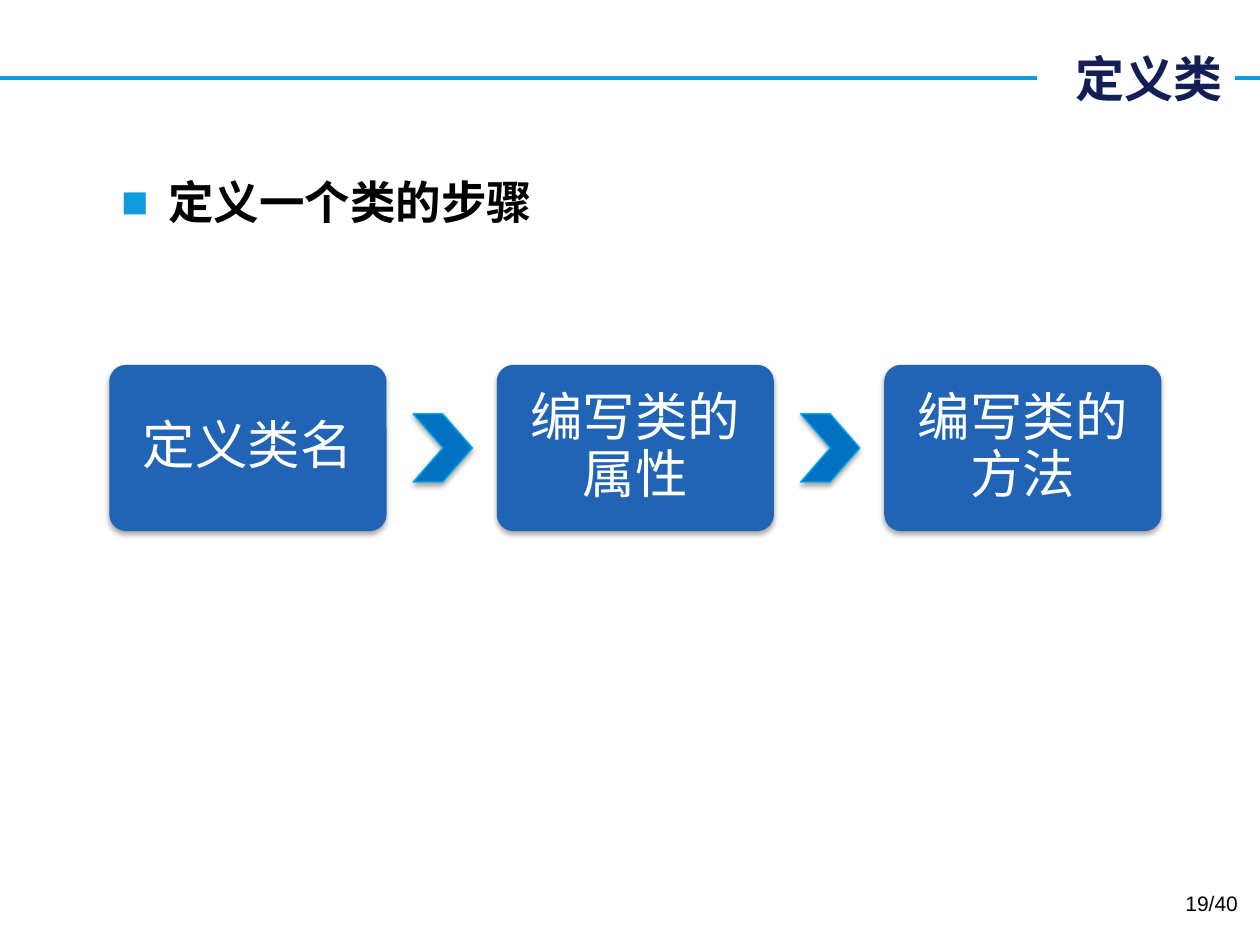
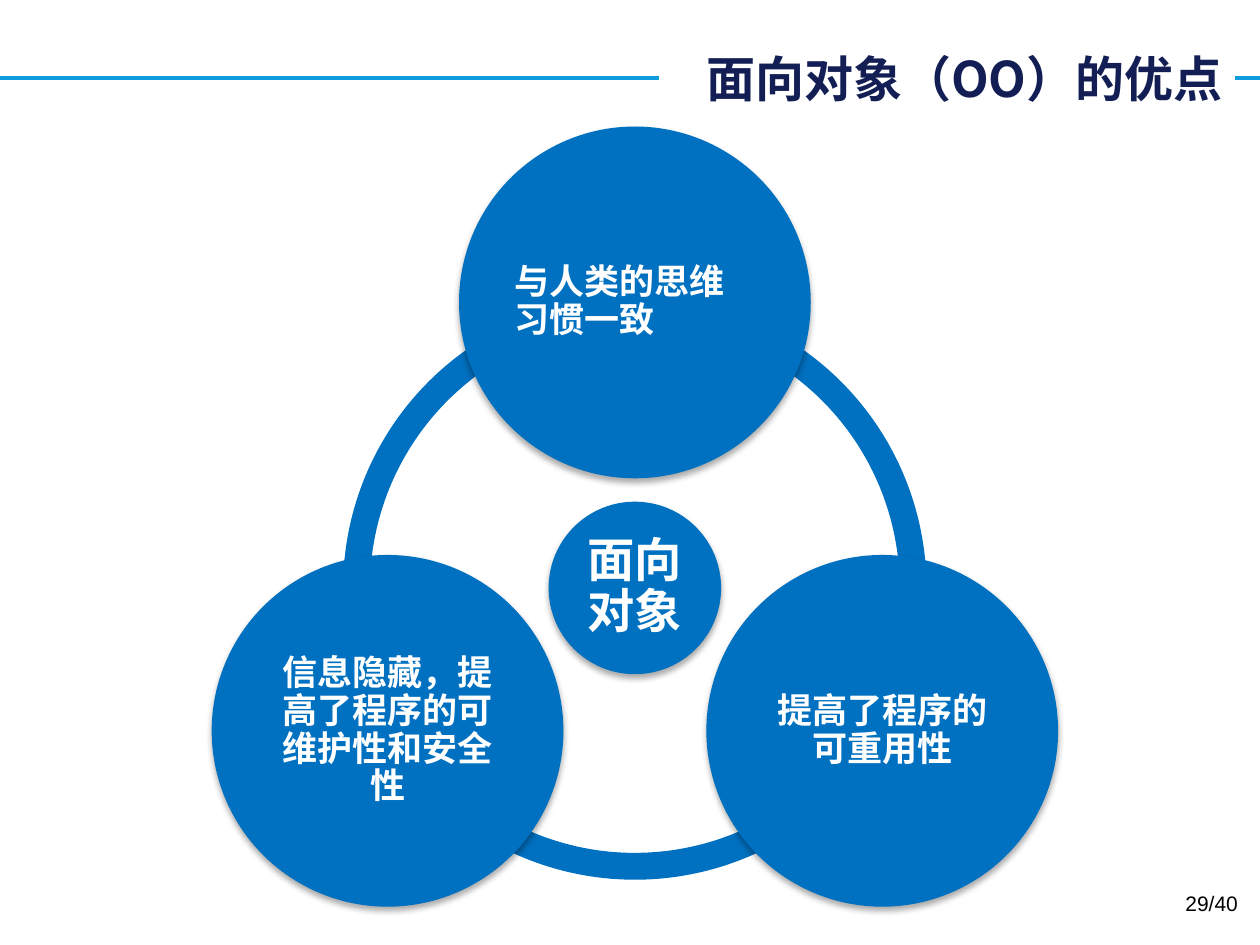
from math import cos, radians, sin

from lxml import etree
from pptx import Presentation
from pptx.dml.color import RGBColor
from pptx.enum.shapes import MSO_CONNECTOR, MSO_SHAPE
from pptx.enum.text import MSO_ANCHOR, MSO_AUTO_SIZE, PP_ALIGN
from pptx.oxml.ns import qn
from pptx.util import Pt

STRAIGHT = MSO_CONNECTOR.STRAIGHT
ROUNDED, CHEVRON = MSO_SHAPE.ROUNDED_RECTANGLE, MSO_SHAPE.CHEVRON
OVAL, BLOCK_ARC = MSO_SHAPE.OVAL, MSO_SHAPE.BLOCK_ARC
MIDDLE, NO_AUTOFIT = MSO_ANCHOR.MIDDLE, MSO_AUTO_SIZE.NONE
LEFT, CENTER, RIGHT = PP_ALIGN.LEFT, PP_ALIGN.CENTER, PP_ALIGN.RIGHT

COLORS = {
    "rule": "0E9CDE",
    "title": "121E54",
    "text": "000000",
    "white": "FFFFFF",
    "step": "2163B4",
    "blue": "0070C0",
    "edge": "00B0F0",
}
BODY_FONT, TITLE_FONT = "Arial", "Noto Sans CJK SC"
SLIDE_WIDTH, SLIDE_HEIGHT = 720, 540
RULE_Y = 44.6
TITLE_RIGHT, TITLE_HEIGHT = 705.6, 41
TITLE_CONTENT, TITLE_ONLY = 1, 5

# Shadows: opacity in percent, blur and distance in points
STEP_SHADOW = (35, 3.1, 1.8)
CIRCLE_SHADOW = (32, 3.5, 2.2)


def color(name):
    return RGBColor.from_string(COLORS[name])


def add_child(parent, tag, **attributes):
    values = {key: str(value) for key, value in attributes.items()}
    return etree.SubElement(parent, qn(tag), values)


def write(shape, text, size=20, fill="white", font=BODY_FONT, bold=False,
          align=CENTER, anchor=None, inset=None, spacing=None):
    """Put one formatted paragraph into a shape and return the paragraph."""
    frame = shape.text_frame
    frame.word_wrap = True
    frame.auto_size = NO_AUTOFIT
    if anchor is not None:
        frame.vertical_anchor = anchor
    if inset is not None:
        frame.margin_left = frame.margin_right = Pt(inset)
        frame.margin_top = frame.margin_bottom = Pt(inset)
    para = frame.paragraphs[0]
    para.alignment = align
    para.space_before = Pt(0)
    if spacing is not None:
        para.line_spacing = spacing
    span = para.add_run()
    span.text = text
    span.font.size = Pt(size)
    span.font.bold = bold
    span.font.name = font
    span.font.color.rgb = color(fill)
    add_child(span.font._element, "a:ea", typeface=font)
    return para


def place(shape, left, top, width, height):
    shape.left, shape.top = Pt(left), Pt(top)
    shape.width, shape.height = Pt(width), Pt(height)


def add_figure(page, kind, left, top, width, height, fill,
               edge=None, shadow=None, adjustments=()):
    """Draw a filled preset shape with optional outline and soft shadow."""
    figure = page.shapes.add_shape(kind, Pt(left), Pt(top), Pt(width), Pt(height))
    figure.fill.solid()
    figure.fill.fore_color.rgb = color(fill)
    if edge:
        figure.line.color.rgb = color(edge)
        figure.line.width = Pt(0.75)
    else:
        figure.line.fill.background()
    for index, value in enumerate(adjustments):
        figure.adjustments[index] = value
    figure.shadow.inherit = False
    if shadow:
        opacity, blur, distance = shadow
        effects = figure.element.spPr.find(qn("a:effectLst"))
        outer = add_child(effects, "a:outerShdw", blurRad=Pt(blur), dist=Pt(distance),
                          dir=90 * 60000, algn="ctr", rotWithShape=0)
        tint = add_child(outer, "a:srgbClr", val=COLORS["text"])
        add_child(tint, "a:alpha", val=opacity * 1000)
    return figure


def add_circle(page, center_x, center_y, diameter, text, size, inset, align=CENTER):
    circle = add_figure(page, OVAL, center_x - diameter / 2, center_y - diameter / 2,
                        diameter, diameter, "blue", shadow=CIRCLE_SHADOW)
    write(circle, text, size=size, bold=True, align=align, anchor=MIDDLE,
          inset=inset, spacing=0.9)


def add_page(deck, layout, title_text, title_width, number):
    """Start a slide with the shared rule, title and page number."""
    page = deck.slides.add_slide(deck.slide_layouts[layout])
    title = page.shapes.title
    place(title, TITLE_RIGHT - title_width, RULE_Y - TITLE_HEIGHT / 2,
          title_width, TITLE_HEIGHT)
    title.fill.solid()
    title.fill.fore_color.rgb = color("white")
    write(title, title_text, size=28, fill="title", font=TITLE_FONT, bold=True,
          align=RIGHT, anchor=MIDDLE)

    # The rule runs behind the white title box
    rule = page.shapes.add_connector(STRAIGHT, 0, Pt(RULE_Y), Pt(SLIDE_WIDTH), Pt(RULE_Y))
    rule.line.color.rgb = color("rule")
    rule.line.width = Pt(2.25)
    add_child(rule.element.spPr, "a:effectLst")
    title.element.addprevious(rule.element)

    box = page.shapes.add_textbox(Pt(546.5), Pt(505.5), Pt(168), Pt(29))
    write(box, f"{number}/40", size=12, fill="text", align=RIGHT)
    return page


def add_bullet(body, text):
    para = write(body, text, size=26, fill="text", bold=True, align=LEFT)
    properties = para._p.get_or_add_pPr()
    properties.set("marL", str(Pt(27)))
    properties.set("indent", str(Pt(-27)))
    tint = add_child(properties, "a:buClr")
    add_child(tint, "a:srgbClr", val=COLORS["rule"])
    add_child(properties, "a:buFont", typeface=BODY_FONT)
    add_child(properties, "a:buChar", char="■")


def add_steps(page, names):
    """Lay out the steps in a row with a chevron in each gap."""
    left, middle, pitch = 62.5, 256, 221.4
    width, height = 158.4, 95
    arrow_offset, arrow_width, arrow_height = 173.5, 34, 39
    for index, name in enumerate(names):
        step_left = left + index * pitch
        if index:
            add_figure(page, CHEVRON, step_left - pitch + arrow_offset,
                       middle - arrow_height / 2, arrow_width, arrow_height,
                       "blue", edge="edge", shadow=STEP_SHADOW)
        step = add_figure(page, ROUNDED, step_left, middle - height / 2, width, height,
                          "step", shadow=STEP_SHADOW, adjustments=[0.1])
        write(step, name, size=30, anchor=MIDDLE, inset=8.6, spacing=0.9)


def add_cycle(page, hub_text, advantages):
    """Draw the ring, the hub and the advantages spaced evenly around it."""
    center_x, center_y = 362.8, 336
    ring, orbit = 333.4, 163.2
    for start, end in ((90, 162), (18, 90), (162, 18)):
        add_figure(page, BLOCK_ARC, center_x - ring / 2, center_y - ring / 2, ring, ring,
                   "blue", adjustments=[start * 0.6, end * 0.6, 0.046])
    add_circle(page, center_x, center_y, 98.6, hub_text, 27, 2.9)
    for index, (text, align) in enumerate(advantages):
        angle = radians(-90 + index * 360 / len(advantages))
        add_circle(page, center_x + orbit * cos(angle), center_y + orbit * sin(angle),
                   201, text, 20, 2.2, align)


def main():
    deck = Presentation()
    deck.slide_width, deck.slide_height = Pt(SLIDE_WIDTH), Pt(SLIDE_HEIGHT)

    # Steps for defining a class
    page = add_page(deck, TITLE_CONTENT, "定义类", 113, 19)
    body = page.placeholders[1]
    place(body, 62, 96, 602, 404.5)
    add_bullet(body, "定义一个类的步骤")
    add_steps(page, ["定义类名", "编写类的属性", "编写类的方法"])

    # Advantages of object orientation
    page = add_page(deck, TITLE_ONLY, "面向对象（OO）的优点", 329, 29)
    add_cycle(page, "面向对象", [
        ("与人类的思维习惯一致", LEFT),
        ("提高了程序的可重用性", CENTER),
        ("信息隐藏，提高了程序的可维护性和安全性", CENTER),
    ])

    deck.save("out.pptx")


if __name__ == "__main__":
    main()
